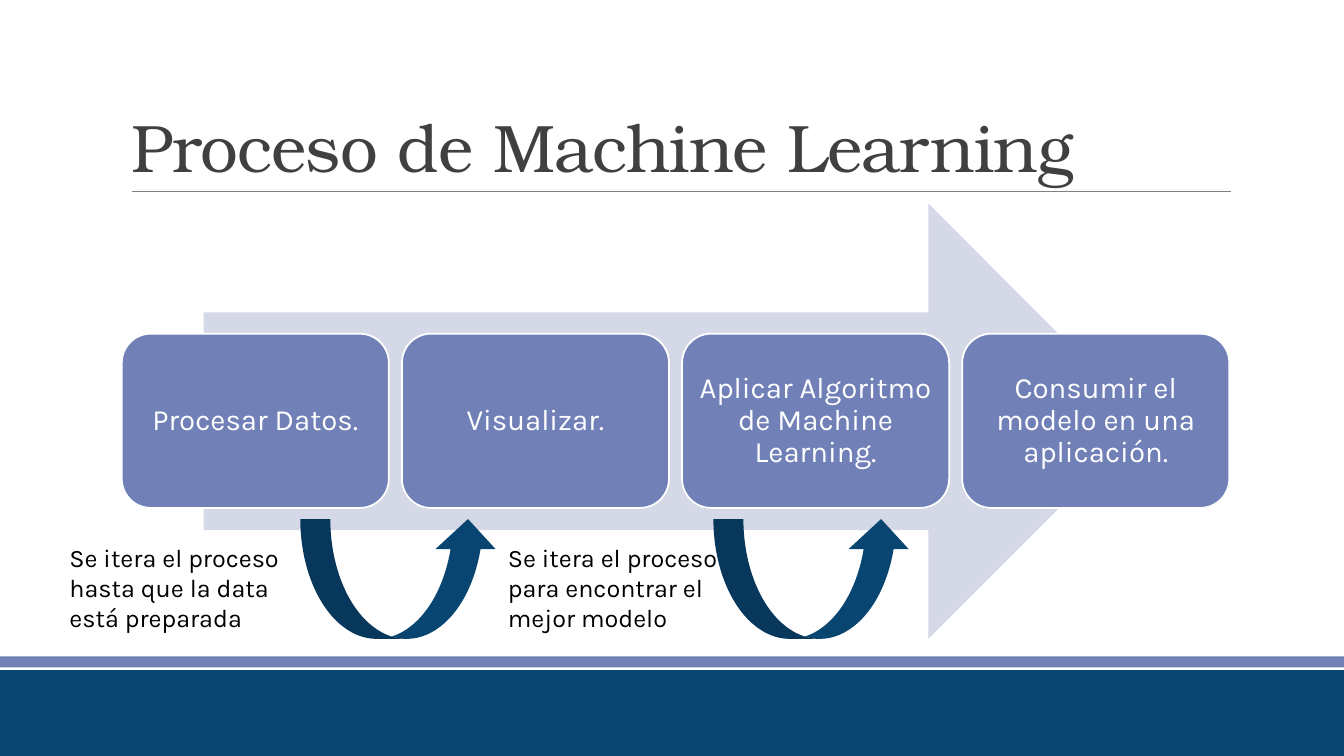
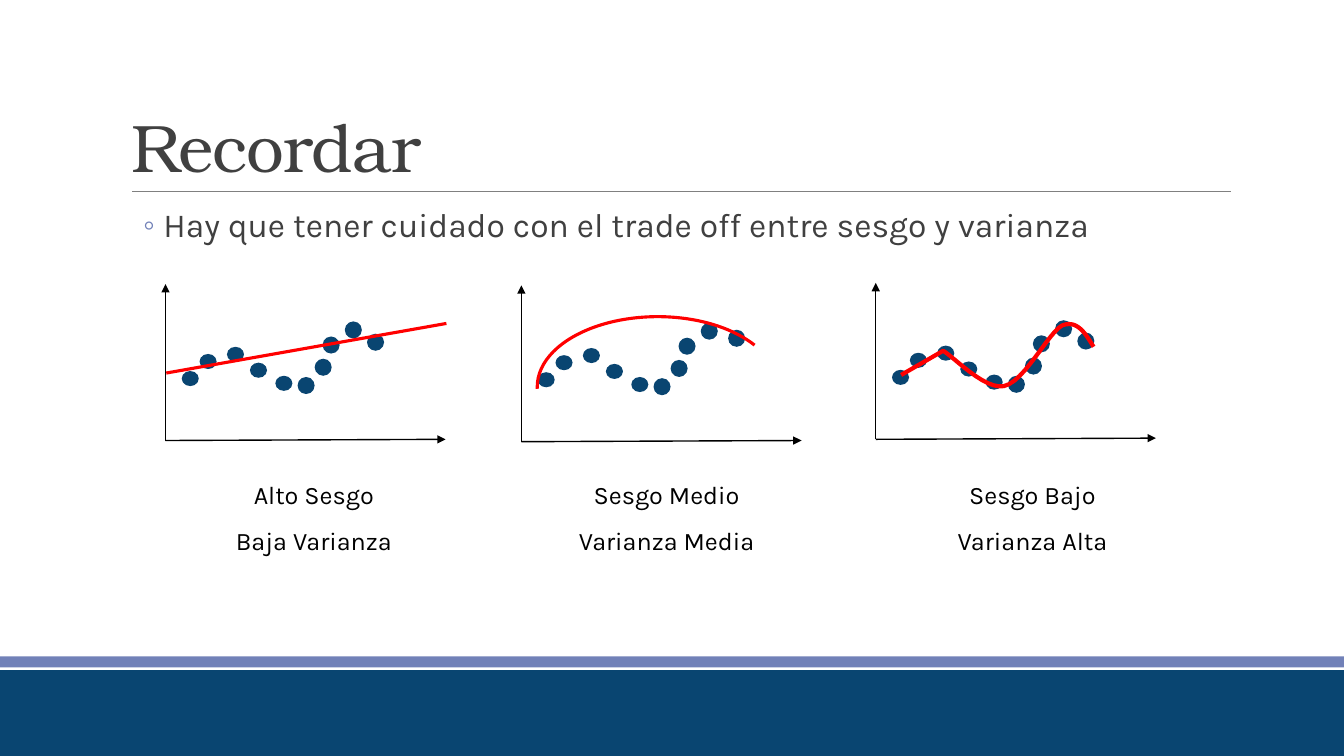
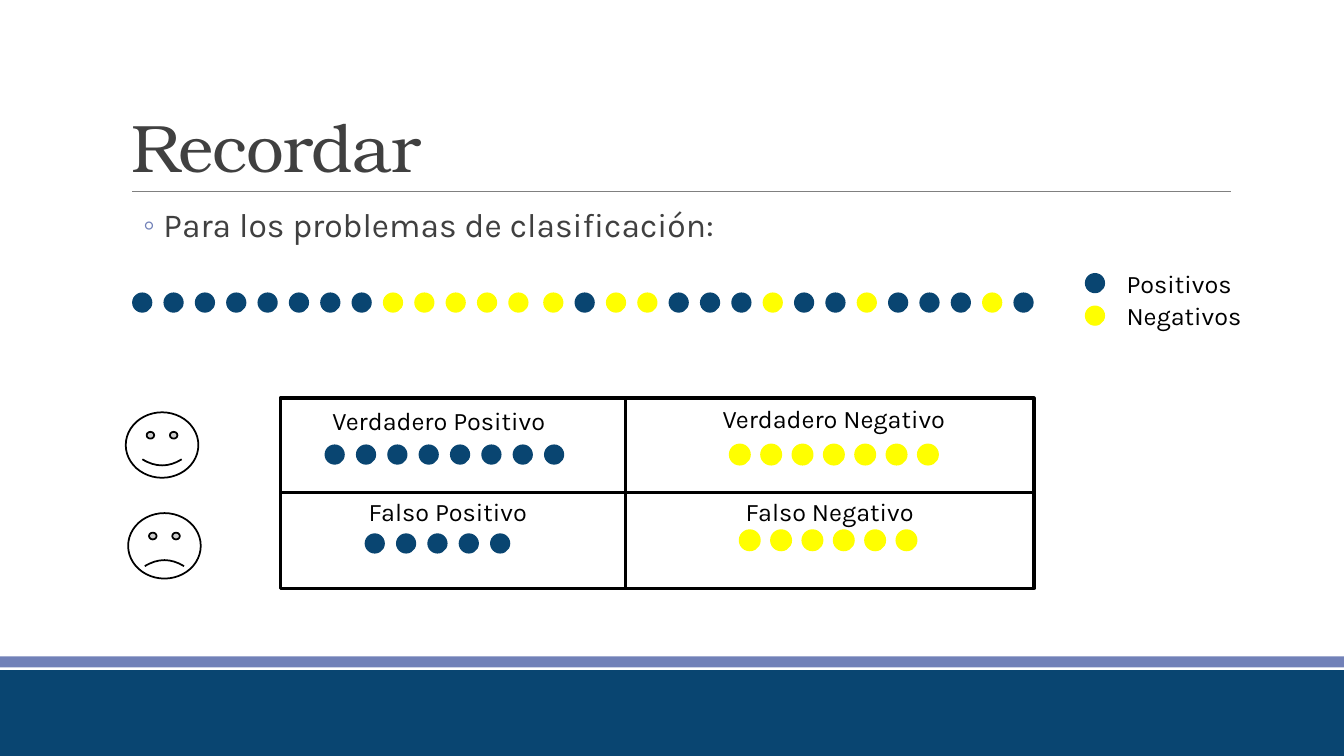
from lxml.etree import SubElement
from pptx import Presentation
from pptx.dml.color import RGBColor
from pptx.enum.shapes import MSO_CONNECTOR, MSO_SHAPE
from pptx.enum.text import MSO_ANCHOR, MSO_AUTO_SIZE, PP_ALIGN
from pptx.oxml.ns import qn
from pptx.util import Cm, Pt

HUES = {
    "navy": "094571", "blue": "7181B8", "pale": "D5D8E6", "gray": "808080",
    "ink": "404040", "black": "000000", "white": "FFFFFF",
    "red": "FF0000", "gold": "FFFF00",
}
WIDE, HIGH = 33.87, 19.05
STEP = 0.79


def hue(name):
    return RGBColor.from_string(HUES[name])


def curve(start, one, two, end, count=12):
    points = []
    for i in range(1, count + 1):
        t = i / count
        u = 1 - t
        points.append(tuple(
            u**3 * a + 3 * u * u * t * b + 3 * u * t * t * c + t**3 * d
            for a, b, c, d in zip(start, one, two, end)))
    return points


class Deck:
    serif = "TeX Gyre Bonum"
    sans = "Karla"

    def __init__(self):
        self.file = Presentation()
        self.file.slide_width, self.file.slide_height = Cm(WIDE), Cm(HIGH)
        self.slide = None

    def open(self, title, lead=None):
        first = self.slide is None
        layout = self.file.slide_layouts[1 if lead else 5]
        self.slide = self.file.slides.add_slide(layout)
        if first:
            self.share()
        self.title(title)
        if lead:
            self.lead(lead)

    def share(self):
        parts = [
            self.line(3.33, 4.83, 31.01, 4.83, "gray", 0.5),
            self.shape(MSO_SHAPE.RECTANGLE, 0, 16.54, WIDE, 0.28, "blue"),
            self.shape(MSO_SHAPE.RECTANGLE, 0, 16.89, WIDE, 2.16, "navy"),
        ]
        for part in parts:
            self.file.slide_master.shapes.element.append(part.element)

    def place(self, holder, top, height):
        holder.left, holder.top = Cm(3.05), Cm(top)
        holder.width, holder.height = Cm(27.94), Cm(height)
        holder.text_frame.auto_size = MSO_AUTO_SIZE.NONE
        return holder.text_frame

    def style(self, para, size, color, font=None, align=PP_ALIGN.LEFT):
        para.alignment = align
        for run in para.runs:
            run.font.size = Pt(size)
            run.font.name = font or self.sans
            run.font.color.rgb = hue(color)

    def title(self, text):
        frame = self.place(self.slide.shapes.title, 0.79, 4.04)
        frame.vertical_anchor = MSO_ANCHOR.BOTTOM
        frame.text = text
        para = frame.paragraphs[0]
        para.line_spacing = 0.85
        self.style(para, 48, "ink", self.serif)
        para.runs[0]._r.get_or_add_rPr().set("spc", "-50")

    def lead(self, text):
        frame = self.place(self.slide.placeholders[1], 5.13, 1.5)
        frame.margin_left = frame.margin_right = 0
        frame.text = text
        para = frame.paragraphs[0]
        para.level = 1
        props = para._p.get_or_add_pPr()
        props.set("marL", str(Cm(1.07)))
        props.set("indent", str(-Cm(0.51)))
        tint = SubElement(props, qn("a:buClr"))
        SubElement(tint, qn("a:srgbClr")).set("val", HUES["blue"])
        SubElement(props, qn("a:buChar")).set("char", "◦")
        para.line_spacing = 0.9
        para.space_before, para.space_after = Pt(0), Pt(4)
        self.style(para, 24, "ink")

    def paint(self, shape, fill, edge, width):
        shape.shadow.inherit = False
        if fill:
            shape.fill.solid()
            shape.fill.fore_color.rgb = hue(fill)
        else:
            shape.fill.background()
        if edge:
            shape.line.color.rgb = hue(edge)
            shape.line.width = Pt(width)
        else:
            shape.line.fill.background()
        return shape

    def shape(self, kind, x, y, w, h, fill=None, edge=None, width=1.25, tune=()):
        shape = self.slide.shapes.add_shape(kind, Cm(x), Cm(y), Cm(w), Cm(h))
        for i, value in enumerate(tune):
            shape.adjustments[i] = value
        return self.paint(shape, fill, edge, width)

    def card(self, text, x, y, w, h):
        card = self.shape(MSO_SHAPE.ROUNDED_RECTANGLE, x, y, w, h, "blue", "white")
        frame = card.text_frame
        frame.word_wrap = True
        frame.vertical_anchor = MSO_ANCHOR.MIDDLE
        frame.margin_left = frame.margin_right = Cm(0.23)
        frame.margin_top = frame.margin_bottom = Cm(0.23)
        frame.text = text
        frame.paragraphs[0].line_spacing = 0.9
        self.style(frame.paragraphs[0], 21, "white", align=PP_ALIGN.CENTER)

    def text(self, text, x, y, w, h=1.02, align=PP_ALIGN.LEFT):
        box = self.slide.shapes.add_textbox(Cm(x), Cm(y), Cm(w), Cm(h))
        box.text_frame.word_wrap = True
        box.text_frame.text = text
        self.style(box.text_frame.paragraphs[0], 18, "black", align=align)

    def line(self, x, y, to_x, to_y, color, width, arrow=False):
        line = self.slide.shapes.add_connector(
            MSO_CONNECTOR.STRAIGHT, Cm(x), Cm(y), Cm(to_x), Cm(to_y))
        line.line.color.rgb = hue(color)
        line.line.width = Pt(width)
        props = line.element.spPr
        if arrow:
            SubElement(props.find(qn("a:ln")), qn("a:tailEnd")).set("type", "triangle")
        SubElement(props, qn("a:effectLst"))
        return line

    def trace(self, points, color, width):
        spots = [(Cm(x), Cm(y)) for x, y in points]
        path = self.slide.shapes.build_freeform(*spots[0], scale=1.0)
        path.add_line_segments(spots[1:], close=False)
        self.paint(path.convert_to_shape(), None, color, width)

    def dot(self, x, y, color="navy", w=0.51, h=0.51, edge=None):
        self.shape(MSO_SHAPE.OVAL, x, y, w, h, color, edge)

    def row(self, marks, x, y, rim=False):
        for i, mark in enumerate(marks):
            color = "navy" if mark == "P" else "gold"
            self.dot(x + i * STEP, y, color, edge=color if rim else None)

    def plot(self, x, y, dots):
        self.line(x, y, x + 7.06, y - 0.03, "black", 1, True)
        self.line(x, y, x, y - 3.94, "black", 1, True)
        for i, (right, rise) in enumerate(dots):
            self.dot(x + right, y - rise, w=0.43, h=0.38 if i < 5 else 0.43)


def flow(deck):
    deck.open("Proceso de Machine Learning")
    deck.shape(MSO_SHAPE.RIGHT_ARROW, 5.13, 5.13, 23.75, 10.97, "pale")
    steps = ["Procesar Datos.", "Visualizar.",
             "Aplicar Algoritmo de Machine Learning.",
             "Consumir el modelo en una aplicación."]
    for i, step in enumerate(steps):
        deck.card(step, 3.07 + i * 7.06, 8.41, 6.73, 4.39)
    loops = [
        (7.57, 1.5, "Se itera el proceso hasta que la data está preparada"),
        (17.98, 12.55, "Se itera el proceso para encontrar el mejor modelo"),
    ]
    for x, left, note in loops:
        deck.shape(MSO_SHAPE.CURVED_UP_ARROW, x, 13.08, 4.98, 3.02, "navy")
        deck.text(note, left, 13.54, 6.4, 2.57)


def bias(deck):
    deck.open("Recordar", "Hay que tener cuidado con el trade off entre sesgo y varianza")
    dots = [(0.41, 1.75), (0.86, 2.18), (1.55, 2.36), (2.13, 1.96), (2.77, 1.63),
            (3.33, 1.6), (3.76, 2.06), (3.96, 2.62), (4.52, 3), (5.08, 2.69)]
    deck.plot(4.17, 11.1, dots)
    deck.plot(13.14, 11.13, dots[:-1] + [(5.21, 2.82)])
    deck.plot(22.07, 11.07, dots)

    deck.line(11.25, 8.15, 4.19, 9.4, "red", 2.25)
    deck.shape(MSO_SHAPE.ARC, 13.54, 7.98, 6.07, 3.53, None, "red", 2.25,
               (107.41, 202.07))
    points = [(22.71, 9.45), (23.77, 8.84)]
    bends = [((24.03, 8.99), (24.82, 9.83), (25.3, 9.73)),
             ((25.81, 9.63), (26.42, 8.38), (26.77, 8.2)),
             ((27.15, 8.05), (27.36, 8.41), (27.56, 8.74))]
    for bend in bends:
        points += curve(points[-1], *bend)
    deck.trace(points, "red", 3)

    labels = [(4.57, "Alto Sesgo", "Baja Varianza"),
              (13.46, "Sesgo Medio", "Varianza Media"),
              (22.68, "Sesgo Bajo", "Varianza Alta")]
    for x, *pair in labels:
        for i, label in enumerate(pair):
            deck.text(label, x, 11.96 + i * 1.15, 6.68, align=PP_ALIGN.CENTER)


def classes(deck):
    deck.open("Recordar", "Para los problemas de clasificación:")
    deck.row("PPPPPPPPNNNNN", 3.33, 7.37)
    deck.row("NPNNPPPNPPNPPPNP", 13.69, 7.37)
    for i, (mark, label) in enumerate([("P", "Positivos"), ("N", "Negativos")]):
        y = 6.63 + i * 0.82
        deck.row(mark, 27.34, y + 0.25)
        deck.text(label, 28.14, y, 4.42)

    deck.shape(MSO_SHAPE.RECTANGLE, 7.06, 10.03, 19, 4.8, None, "black", 2.25)
    deck.line(7.06, 12.42, 26.06, 12.42, "black", 2.25)
    deck.line(15.77, 10.03, 15.77, 14.83, "black", 2.25)
    cells = [
        ("Verdadero Positivo", 8.13, 10.08, "P" * 8, 8.18, 11.2),
        ("Falso Positivo", 9.04, 12.37, "P" * 5, 9.19, 13.44),
        ("Verdadero Negativo", 17.96, 10.03, "N" * 7, 18.39, 11.2),
        ("Falso Negativo", 18.54, 12.37, "N" * 6, 18.64, 13.36),
    ]
    for label, x, y, marks, left, top in cells:
        deck.row(marks, left, top, rim=marks[0] == "N")
        deck.text(label, x, y, 6.58)
    for x, y, tune in [(3.17, 10.39, ()), (3.23, 12.93, (-0.05,))]:
        deck.shape(MSO_SHAPE.SMILEY_FACE, x, y, 1.83, 1.65, "white", "black", tune=tune)


def main():
    deck = Deck()
    for build in (flow, bias, classes):
        build(deck)
    deck.file.save("out.pptx")


if __name__ == "__main__":
    main()
